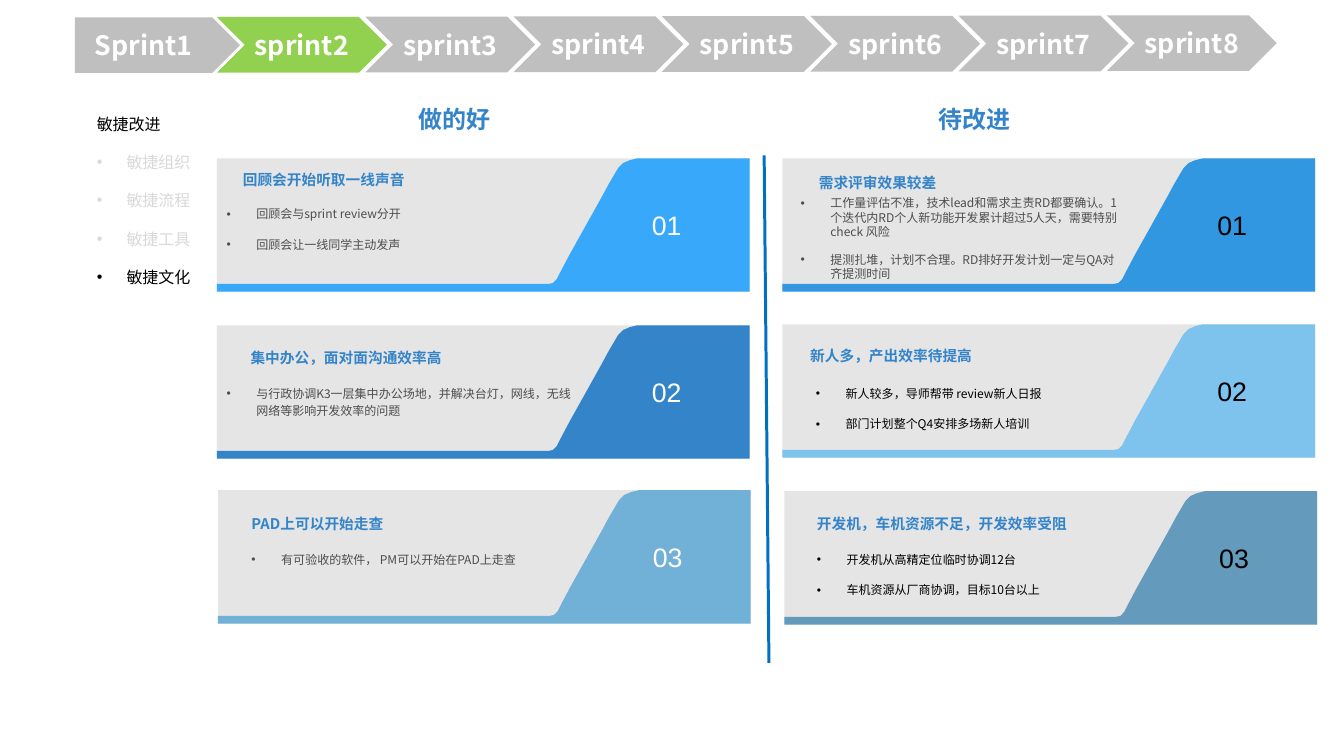
from lxml import etree
from pptx import Presentation
from pptx.dml.color import RGBColor
from pptx.enum.shapes import MSO_CONNECTOR, MSO_SHAPE as SHAPE
from pptx.enum.text import MSO_ANCHOR as ANCHOR, PP_ALIGN as ALIGN
from pptx.oxml.ns import qn
from pptx.util import Inches, Pt

CJK = "Noto Sans CJK SC"
BLUE, GREY, PALE, BLACK, WHITE = "3484C9", "4D4D4D", "D9D9D9", "000000", "FFFFFF"

SPRINT = {"size": Pt(20), "name": CJK, "bold": True}
HEADING = {"size": Pt(18), "name": CJK, "bold": True}
TITLE = {"size": Pt(11), "name": CJK, "bold": True}
BODY = {"size": Pt(9), "name": CJK}
MENU = {"size": Pt(12), "name": CJK}
NUMBER = {"size": Pt(20), "name": "Arial"}

prs = Presentation()
prs.slide_width, prs.slide_height = Inches(14), Inches(7.88)
s = prs.slides.add_slide(prs.slide_layouts[6])


def paint(sp, color):
    sp.shadow.inherit = False
    sp.fill.solid()
    sp.fill.fore_color.rgb = RGBColor.from_string(color)
    sp.line.fill.background()


def write(sp, lines, fmt, margin=0, anchor=ANCHOR.TOP, align=ALIGN.LEFT,
          leading=1.2, gap=0, wrap=True):
    """Fill a shape with (text, colour, bulleted) lines; leading is in ems, gap in points."""
    tf = sp.text_frame
    frame = {"word_wrap": wrap, "vertical_anchor": anchor,
             "margin_left": Inches(2 * margin), "margin_right": Inches(2 * margin),
             "margin_top": Inches(margin), "margin_bottom": Inches(margin)}
    for key, value in frame.items():
        setattr(tf, key, value)
    for i, (text, color, bulleted) in enumerate(lines):
        p = tf.add_paragraph() if i else tf.paragraphs[0]
        if bulleted:
            pPr = p._p.get_or_add_pPr()
            pPr.set("marL", str(Inches(0.31)))
            pPr.set("indent", str(-Inches(0.31)))
            etree.SubElement(pPr, qn("a:buFont")).set("typeface", "Arial")
            etree.SubElement(pPr, qn("a:buChar")).set("char", "•")
        p.alignment = align
        p.line_spacing = Pt(round(fmt["size"].pt * leading, 1))
        if i:
            p.space_before = Pt(gap)
        r = p.add_run()
        r.text = text
        for key, value in fmt.items():
            setattr(r.font, key, value)
        r.font.color.rgb = RGBColor.from_string(color)
        etree.SubElement(r._r.get_or_add_rPr(), qn("a:ea")).set("typeface", fmt["name"])


# Sprint timeline, rising very slightly to the right
for i in range(8):
    top = 0.18 - 0.02 * i / 7
    if i == 0:
        sp = s.shapes.add_shape(SHAPE.RIGHT_ARROW, Inches(0.78), Inches(top),
                                Inches(1.72), Inches(0.58))
        sp.adjustments[0] = 1
    else:
        sp = s.shapes.add_shape(SHAPE.CHEVRON, Inches(2.26 + 9.27 * (i - 1) / 6), Inches(top),
                                Inches(1.77), Inches(0.58))
    paint(sp, "92D050" if i == 1 else "BFBFBF")
    label = f"sprint{i + 1}" if i else "Sprint1"
    write(sp, [(label, WHITE, False)], SPRINT, anchor=ANCHOR.MIDDLE, align=ALIGN.CENTER)

# Side menu
menu = [("敏捷改进", BLACK, False), ("敏捷组织", PALE, True), ("敏捷流程", PALE, True),
        ("敏捷工具", PALE, True), ("敏捷文化", BLACK, True)]
sp = s.shapes.add_textbox(Inches(0.91), Inches(1.14), Inches(1.3), Inches(2.12))
write(sp, menu, MENU, margin=0.05, gap=14.4)

# Column headings and divider
for text, left in (("做的好", 4.26), ("待改进", 9.68)):
    sp = s.shapes.add_textbox(Inches(left), Inches(1.04), Inches(0.96), Inches(0.4))
    write(sp, [(text, BLUE, False)], HEADING, margin=0.05, wrap=False)

divider = s.shapes.add_connector(MSO_CONNECTOR.STRAIGHT, Inches(7.96), Inches(1.62),
                                 Inches(8.01), Inches(6.91))
divider.line.color.rgb = RGBColor.from_string("0070C0")
divider.line.width = Pt(2.25)
etree.SubElement(divider._element.spPr, qn("a:effectLst"))

# Outline of the coloured tab, in hundredths of an inch from the card corner
TAB = [(438, 0), (430, 2), (423, 5), (418, 10), (415, 15), (408, 27), (401, 40), (367, 101),
       (358, 118), (354, 126), (350, 130), (345, 131), (0, 131), (0, 139), (555, 139), (555, 0)]

# Cards: left, top, tab colour, number, number colour,
# title with its place, body with its box, body colour and leading
cards = [
    (2.26, 1.65, "37A8FA", "01", WHITE, "回顾会开始听取一线声音", (2.53, 1.66),
     ["回顾会与sprint review分开", "回顾会让一线同学主动发声"], (2.36, 2.13, 4.11), GREY, 1.42),
    (2.26, 3.39, BLUE, "02", WHITE, "集中办公，面对面沟通效率高", (2.61, 3.52),
     ["与行政协调K3一层集中办公场地，并解决台灯，网线，无线网络等影响开发效率的问题"],
     (2.36, 4, 3.62), GREY, 1.42),
    (2.27, 5.11, "72B1D7", "03", WHITE, "PAD上可以开始走查", (2.62, 5.25),
     ["有可验收的软件， PM可以开始在PAD上走查"], (2.62, 5.73, 3.06), GREY, 1.42),
    (8.15, 1.65, "3197E0", "01", BLACK, "需求评审效果较差", (8.53, 1.69),
     ["工作量评估不准，技术lead和需求主责RD都要确认。1个迭代内RD个人新功能开发累计超过5人天，"
      "需要特别check 风险",
      "提测扎堆，计划不合理。RD排好开发计划一定与QA对齐提测时间"],
     (8.34, 2.04, 3.39), GREY, 1.2),
    (8.15, 3.38, "7EC3EE", "02", BLACK, "新人多，产出效率待提高", (8.44, 3.5),
     ["新人较多，导师帮带 review新人日报", "部门计划整个Q4安排多场新人培训"],
     (8.5, 4, 3.23), BLACK, 1.42),
    (8.17, 5.12, "649ABC", "03", BLACK, "开发机，车机资源不足，开发效率受阻", (8.51, 5.25),
     ["开发机从高精定位临时协调12台", "车机资源从厂商协调，目标10台以上"],
     (8.51, 5.73, 3.17), BLACK, 1.42),
]

for (left, top, color, number, number_color, title, title_at,
     body, body_at, body_color, leading) in cards:
    sp = s.shapes.add_shape(SHAPE.RECTANGLE, Inches(left), Inches(top), Inches(5.55), Inches(1.39))
    paint(sp, "E5E5E5")

    outline = s.shapes.build_freeform(*TAB[0], scale=Inches(0.01))
    outline.add_line_segments(TAB[1:], close=True)
    paint(outline.convert_to_shape(Inches(left), Inches(top)), color)

    sp = s.shapes.add_textbox(Inches(left + 4.34), Inches(top + 0.35), Inches(0.69), Inches(0.69))
    write(sp, [(number, number_color, False)], NUMBER, anchor=ANCHOR.MIDDLE, align=ALIGN.CENTER)

    x, y, width = body_at
    sp = s.shapes.add_textbox(Inches(x), Inches(y), Inches(width), Inches(0.56))
    write(sp, [(text, body_color, True) for text in body], BODY, leading=leading, gap=10)

    x, y = title_at
    sp = s.shapes.add_textbox(Inches(x), Inches(y), Inches(3.5), Inches(0.42))
    write(sp, [(title, BLUE, False)], TITLE, anchor=ANCHOR.MIDDLE)

prs.save("out.pptx")
